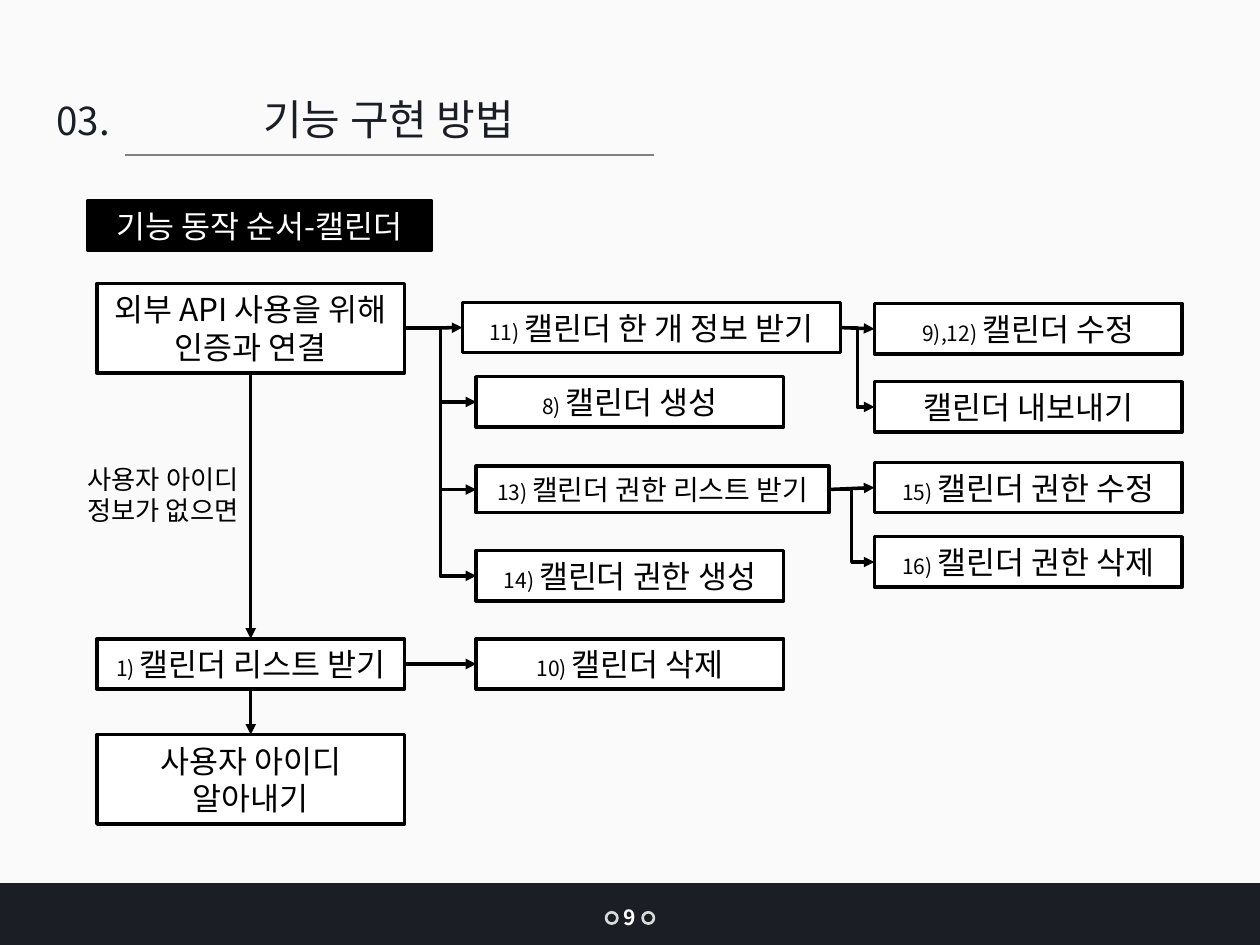
from dataclasses import dataclass

import pptx
import pptx.dml.color
import pptx.enum.shapes
import pptx.enum.text
import pptx.oxml.ns
import pptx.util
from lxml import etree

Inches = pptx.util.Inches
Pt = pptx.util.Pt
ShapeKind = pptx.enum.shapes.MSO_SHAPE
ConnectorKind = pptx.enum.shapes.MSO_CONNECTOR
qualified = pptx.oxml.ns.qn

TOP, LEFT, BOTTOM, RIGHT = range(4)


@dataclass(frozen=True)
class Theme:
    font: str = "Noto Sans CJK KR"
    background: str = "FAFAFA"
    navy: str = "1B1E25"
    black: str = "000000"
    white: str = "FFFFFF"
    gray: str = "808080"
    ring: str = "D8DBD7"
    title_size: int = 24
    section_size: int = 22
    box_size: int = 18
    compact_size: int = 16
    note_size: int = 15
    small_size: int = 12
    line_width: float = 2
    leading: float = 1.2


def rgb(value):
    return pptx.dml.color.RGBColor.from_string(value)


class SlideBuilder:
    def __init__(self, slide, theme):
        self.slide = slide
        self.theme = theme
        slide.background.fill.solid()
        slide.background.fill.fore_color.rgb = rgb(theme.background)

    def set_text(self, shape, text, size, color, number="", bold=False):
        frame = shape.text_frame
        frame.word_wrap = True
        frame.auto_size = pptx.enum.text.MSO_AUTO_SIZE.NONE
        frame.vertical_anchor = pptx.enum.text.MSO_ANCHOR.MIDDLE
        frame.margin_left = frame.margin_right = Inches(0.05)
        frame.margin_top = frame.margin_bottom = Inches(0.05)
        for index, line in enumerate(text.split("\n")):
            paragraph = frame.paragraphs[0] if index == 0 else frame.add_paragraph()
            paragraph.alignment = pptx.enum.text.PP_ALIGN.CENTER
            paragraph.line_spacing = Pt(size * self.theme.leading)
            if number and index == 0:
                run = paragraph.add_run()
                run.text = number + " "
                run.font.size = Pt(self.theme.small_size)
            paragraph.add_run().text = line
            font = paragraph.font
            font.size = Pt(size)
            font.bold = bold
            font.color.rgb = rgb(color)
            font.name = self.theme.font
            east_asian = etree.SubElement(font._rPr, qualified("a:ea"))
            east_asian.set("typeface", self.theme.font)

    def title(self, text, left, top, width, height):
        shape = self.slide.shapes.title
        shape.left, shape.top = Inches(left), Inches(top)
        shape.width, shape.height = Inches(width), Inches(height)
        self.set_text(shape, text, self.theme.title_size, self.theme.navy)

    def label(self, text, left, top, width, height, size, color, bold=False):
        shape = self.slide.shapes.add_textbox(
            Inches(left), Inches(top), Inches(width), Inches(height))
        self.set_text(shape, text, size, color, bold=bold)

    def shape(self, kind, left, top, width, height, fill, line=None, line_width=0):
        shape = self.slide.shapes.add_shape(
            kind, Inches(left), Inches(top), Inches(width), Inches(height))
        shape.shadow.inherit = False
        shape.fill.solid()
        shape.fill.fore_color.rgb = rgb(fill)
        if line:
            shape.line.color.rgb = rgb(line)
            shape.line.width = Pt(line_width)
        else:
            shape.line.fill.background()
        return shape

    def box(self, text, left, top, width=2.44, height=0.4, number="",
            size=None, fill=None, color=None):
        theme = self.theme
        shape = self.shape(ShapeKind.RECTANGLE, left, top, width, height,
                           fill or theme.white, theme.black, theme.line_width)
        self.set_text(shape, text, size or theme.box_size, color or theme.black, number)
        return shape

    def line(self, start, end, color, width, kind=ConnectorKind.STRAIGHT):
        connector = self.slide.shapes.add_connector(
            kind, *(Inches(value) for value in (*start, *end)))
        connector.line.color.rgb = rgb(color)
        connector.line.width = Pt(width)
        etree.SubElement(connector._element.spPr, qualified("a:effectLst"))
        return connector

    def arrow(self, source, target, start=RIGHT, end=LEFT, bent=False):
        kind = ConnectorKind.ELBOW if bent else ConnectorKind.STRAIGHT
        connector = self.line((0, 0), (0, 0), self.theme.black,
                              self.theme.line_width, kind)
        connector.begin_connect(source, start)
        connector.end_connect(target, end)
        outline = connector.line._get_or_add_ln()
        etree.SubElement(outline, qualified("a:tailEnd")).set("type", "triangle")


def main():
    presentation = pptx.Presentation()
    presentation.slide_width = Inches(10)
    presentation.slide_height = Inches(7.5)
    theme = Theme()
    builder = SlideBuilder(
        presentation.slides.add_slide(presentation.slide_layouts[5]), theme)

    builder.shape(ShapeKind.RECTANGLE, 0, 7.01, 10, 0.49, theme.navy)
    for left in (4.81, 5.1):
        builder.shape(ShapeKind.OVAL, left, 7.24, 0.09, 0.09,
                      theme.navy, theme.ring, 1.5)
    builder.label("9", 4.85, 7.13, 0.3, 0.3, theme.small_size, theme.white, bold=True)

    builder.title("기능 구현 방법", 0.7, 0.69, 4.77, 0.5)
    builder.label("03.", 0.26, 0.72, 0.8, 0.47, theme.section_size, theme.navy)
    builder.line((0.99, 1.23), (5.19, 1.23), theme.gray, 0.75)
    builder.box("기능 동작 순서-캘린더", 0.7, 1.59, 2.72,
                fill=theme.black, color=theme.white)

    first, second, third = 0.77, 3.78, 6.94
    connect = builder.box("외부 API 사용을 위해 인증과 연결", first, 2.25, height=0.71)
    calendars = builder.box("캘린더 리스트 받기", first, 5.07, number="1)")
    find_user = builder.box("사용자 아이디\n알아내기", first, 5.83, height=0.71)

    details = builder.box("캘린더 한 개 정보 받기", 3.67, 2.4, 3, number="11)")
    create = builder.box("캘린더 생성", second, 2.99, number="8)")
    permissions = builder.box("캘린더 권한 리스트 받기", second, 3.7, 2.8, 0.37,
                              number="13)", size=theme.compact_size)
    grant = builder.box("캘린더 권한 생성", second, 4.37, number="14)")
    delete = builder.box("캘린더 삭제", second, 5.07, number="10)")

    edit = builder.box("캘린더 수정", third, 2.41, number="9),12)")
    export = builder.box("캘린더 내보내기", third, 3.03)
    edit_permission = builder.box("캘린더 권한 수정", third, 3.67, number="15)")
    delete_permission = builder.box("캘린더 권한 삭제", third, 4.26, number="16)")

    builder.label("사용자 아이디 정보가 없으면", 0.56, 3.62, 1.47, 0.61,
                  theme.note_size, theme.black)

    for source, target in ((connect, calendars), (calendars, find_user)):
        builder.arrow(source, target, BOTTOM, TOP)
    for source, target in ((connect, details), (calendars, delete),
                           (details, edit), (permissions, edit_permission)):
        builder.arrow(source, target)
    for source, target in ((connect, create), (connect, permissions), (connect, grant),
                           (details, export), (permissions, delete_permission)):
        builder.arrow(source, target, bent=True)

    presentation.save("out.pptx")


if __name__ == "__main__":
    main()
